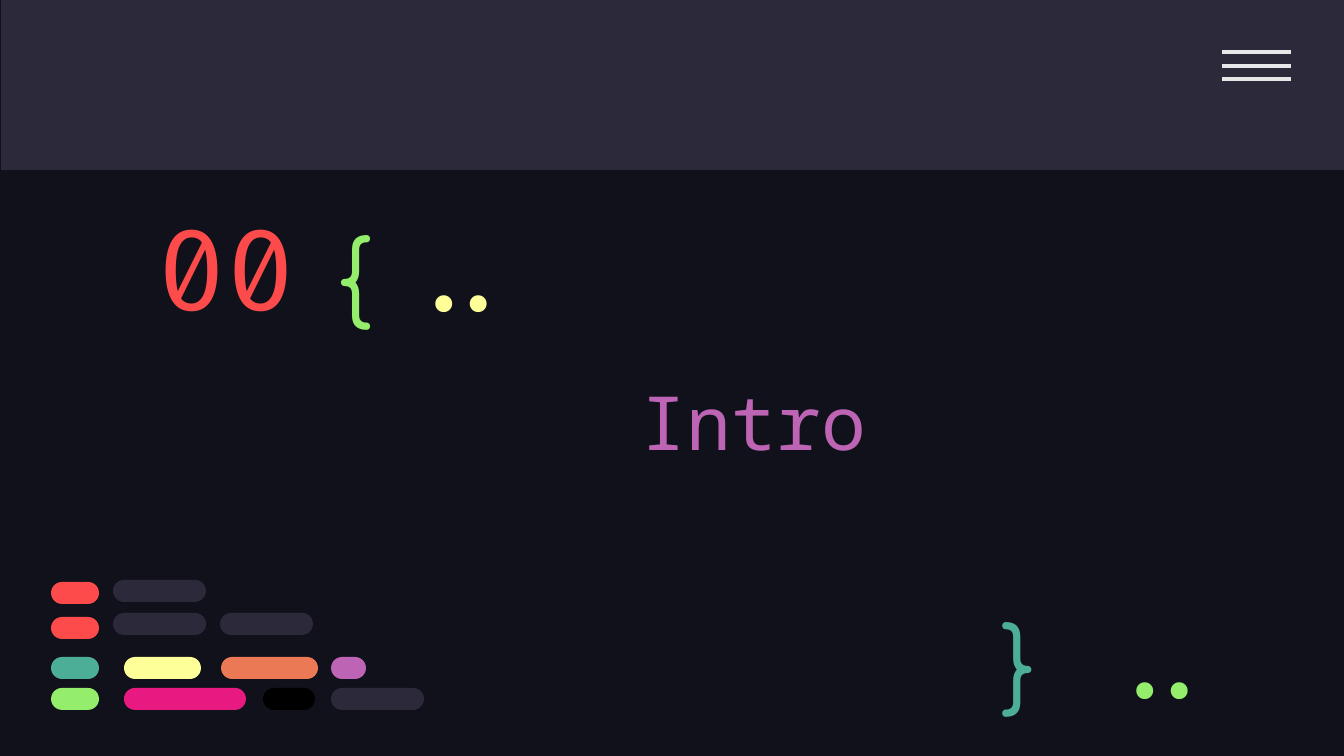
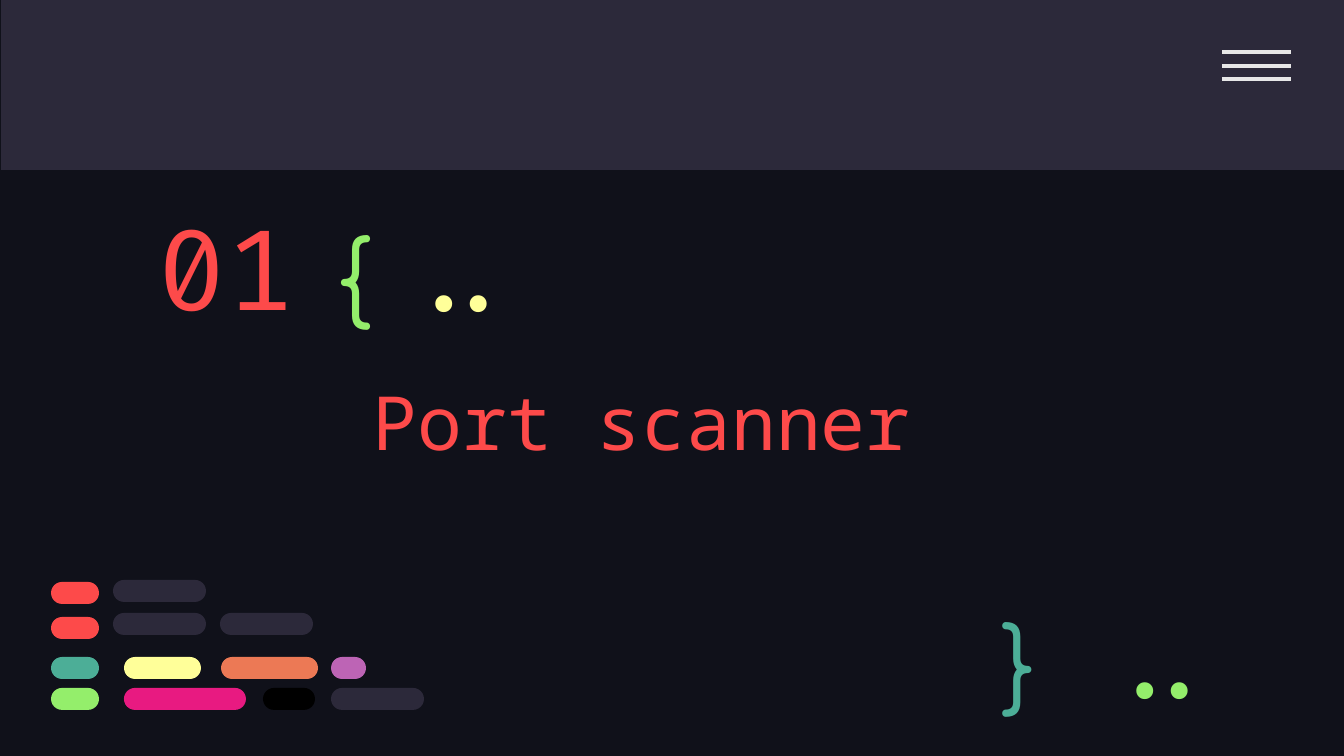
from dataclasses import dataclass

from lxml.etree import SubElement
from pptx import Presentation
from pptx.dml.color import RGBColor
from pptx.enum.shapes import MSO_CONNECTOR, MSO_SHAPE
from pptx.enum.text import MSO_ANCHOR, PP_ALIGN
from pptx.oxml.ns import qn
from pptx.util import Pt

SECTIONS = [
    {"number": "00", "title": "Intro", "color": "purple", "indent": 403},
    {"number": "01", "title": "Port scanner", "color": "red", "indent": 134},
]

OPEN_BRACE = ("{", (323, 202, 103, 128), "green")
CLOSE_BRACE = ("}", (988, 589, 77, 112), "teal")
DOTS = [((1089, 621), "green"), ((388, 234), "yellow")]

PILL_ROWS = [
    (582, [(51, 48, "red")]),
    (617, [(51, 48, "red")]),
    (657, [(51, 48, "teal"), (124, 77, "yellow"), (221, 97, "orange"), (331, 35, "purple")]),
    (688, [(51, 48, "green"), (124, 122, "pink"), (263, 52, "black"), (331, 93, "band")]),
    (613, [(113, 93, "band"), (220, 93, "band")]),
    (580, [(113, 93, "band")]),
]
PILL_HEIGHT = 22

BAND = (1, 0, 1343, 170)
MENU_X = (1222, 1291)
MENU_Y = (52, 66, 79)
TITLE_BOX = (226, 333, 976, 176)
NUMBER_BOX = (145, 199, 243, 134)
DOTS_SIZE = (144, 81)
INSET = 13


@dataclass(frozen=True)
class Theme:
    background: str = "10111A"
    band: str = "2C293A"
    menu: str = "E7E7E7"
    red: str = "FD4A4A"
    purple: str = "BD64B5"
    green: str = "94EE6B"
    teal: str = "4CAE97"
    yellow: str = "FFFF99"
    orange: str = "EC7955"
    pink: str = "E81A81"
    black: str = "000000"
    title_font: str = "Noto Sans Mono"
    code_font: str = "Fira Code"
    brace_font: str = "Comfortaa"
    title_size: int = 40
    number_size: int = 60
    symbol_size: int = 50
    menu_width: float = 2.25

    def rgb(self, name):
        return RGBColor.from_string(getattr(self, name))


THEME = Theme()


def px(value):
    return round(value * 914400 / 134.4)


def add_block(shapes, kind, box, color):
    sp = shapes.add_shape(kind, *map(px, box))
    sp.shadow.inherit = False
    sp.fill.solid()
    sp.fill.fore_color.rgb = THEME.rgb(color)
    sp.line.fill.background()
    return sp


def add_text(s, text, box, font, size, color, anchor=MSO_ANCHOR.MIDDLE,
             align=PP_ALIGN.LEFT, indent=0):
    tf = s.shapes.add_textbox(*map(px, box)).text_frame
    tf.word_wrap = True
    tf.vertical_anchor = anchor
    tf.margin_left = tf.margin_right = tf.margin_top = tf.margin_bottom = px(INSET)
    p = tf.paragraphs[0]
    p.text = text
    p.alignment = align
    if indent:
        p._p.get_or_add_pPr().set("marL", str(px(indent)))
    p.font.name = font
    p.font.size = Pt(size)
    p.font.color.rgb = THEME.rgb(color)


def add_header(s):
    add_block(s.shapes, MSO_SHAPE.RECTANGLE, BAND, "band")
    left, right = map(px, MENU_X)
    for y in map(px, MENU_Y):
        line = s.shapes.add_connector(MSO_CONNECTOR.STRAIGHT, left, y, right, y)
        line.line.color.rgb = THEME.rgb("menu")
        line.line.width = Pt(THEME.menu_width)
        SubElement(line._element.spPr, qn("a:effectLst"))


def add_symbols(s):
    for text, box, color in (OPEN_BRACE, CLOSE_BRACE):
        add_text(s, text, box, THEME.brace_font, THEME.symbol_size, color, MSO_ANCHOR.TOP)
    for corner, color in DOTS:
        add_text(s, "..", corner + DOTS_SIZE, THEME.code_font, THEME.symbol_size, color,
                 align=PP_ALIGN.RIGHT)


def add_pills(s):
    group = s.shapes.add_group_shape()
    for y, pills in PILL_ROWS:
        for x, width, color in pills:
            sp = add_block(group.shapes, MSO_SHAPE.ROUNDED_RECTANGLE,
                           (x, y, width, PILL_HEIGHT), color)
            sp.adjustments[0] = 0.5


def add_section(prs, section):
    s = prs.slides.add_slide(prs.slide_layouts[6])
    add_header(s)
    add_text(s, section["title"], TITLE_BOX, THEME.title_font, THEME.title_size,
             section["color"], indent=section["indent"])
    add_text(s, section["number"], NUMBER_BOX, THEME.code_font, THEME.number_size, "red")
    add_symbols(s)
    add_pills(s)


def main():
    prs = Presentation()
    prs.slide_width, prs.slide_height = px(1344), px(756)
    fill = prs.slide_master.background.fill
    fill.solid()
    fill.fore_color.rgb = THEME.rgb("background")
    for section in SECTIONS:
        add_section(prs, section)
    prs.save("out.pptx")


if __name__ == "__main__":
    main()
